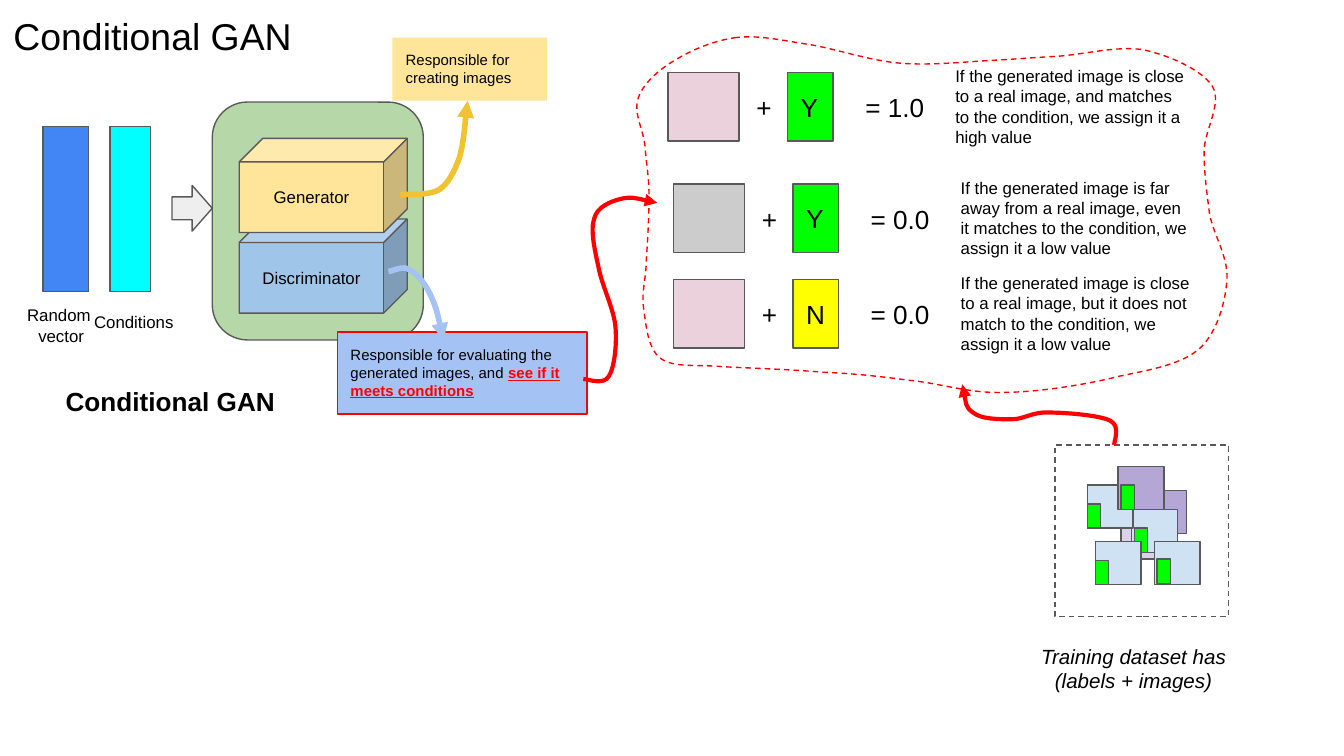
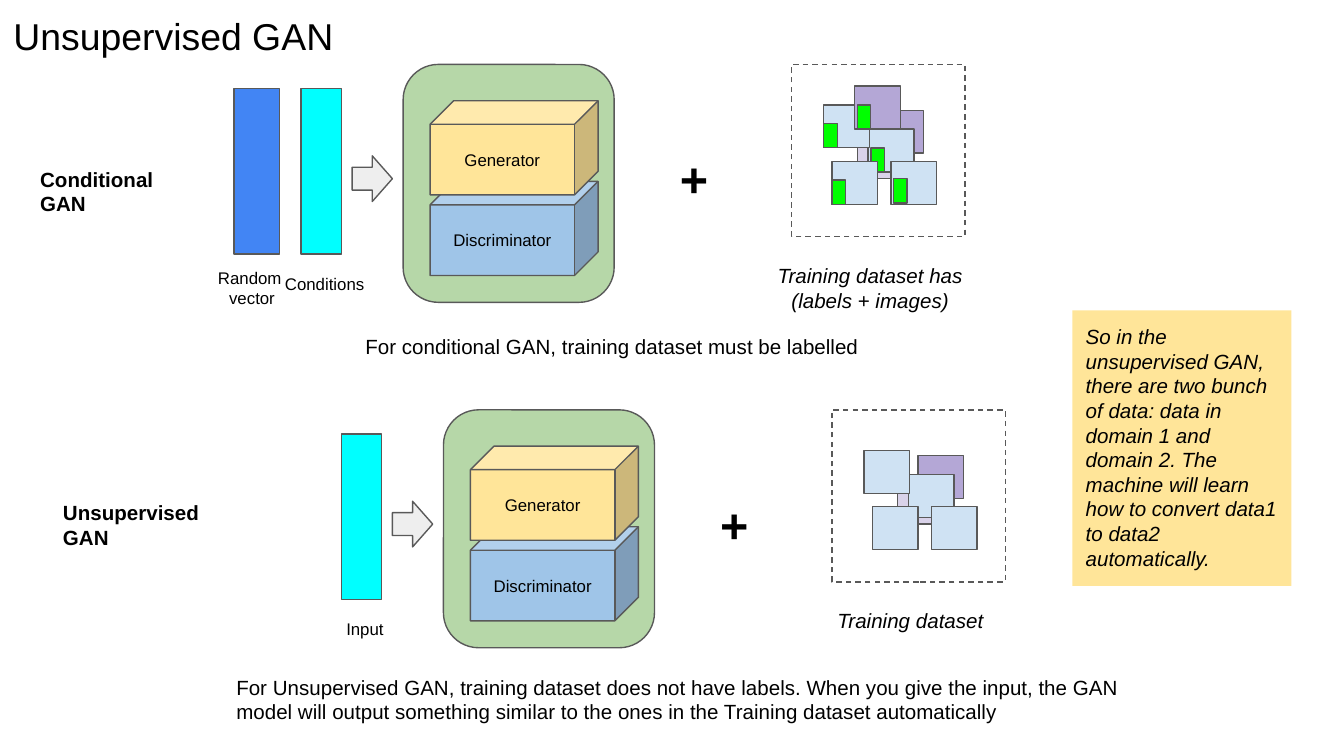
"""Build two slides on conditional and unsupervised GANs."""
from lxml.etree import SubElement
from pptx import Presentation
from pptx.dml.color import RGBColor
from pptx.enum.dml import MSO_LINE
from pptx.enum.shapes import MSO_SHAPE
from pptx.enum.text import MSO_ANCHOR, PP_ALIGN
from pptx.oxml.ns import qn
from pptx.util import Inches, Pt

C = {
    "black": "000000", "outline": "595959", "blue": "4285F4", "cyan": "00FFFF",
    "green": "B6D7A8", "sky": "9FC5E8", "sand": "FFE599", "gold": "F1C232",
    "periwinkle": "A4C2F4", "red": "FF0000", "arrow": "EEEEEE", "pink": "EAD1DC",
    "gray": "CCCCCC", "lime": "00FF00", "yellow": "FFFF00",
    "lilac": "D9D2E9", "purple": "B4A7D6", "pale": "CFE2F3",
}
C = {name: RGBColor.from_string(value) for name, value in C.items()}
FONT = "Arial"
RECT = MSO_SHAPE.RECTANGLE


def box(s, x, y, w, h, text="", size=9, shape=None, fill=None, line="outline",
        dash=False, center=False, middle=False, bold=False, italic=False):
    """Add a text box, or a preset shape when one is given."""
    at = Inches(x), Inches(y), Inches(w), Inches(h)
    if shape is None:
        sp = s.shapes.add_textbox(*at)
    else:
        sp = s.shapes.add_shape(shape, *at)
        sp.shadow.inherit = False
        if fill:
            sp.fill.solid()
            sp.fill.fore_color.rgb = C[fill]
        else:
            sp.fill.background()
        if line:
            sp.line.color.rgb = C[line]
            sp.line.width = Pt(0.75)
            if dash:
                sp.line.dash_style = MSO_LINE.DASH
        else:
            sp.line.fill.background()
    if text:
        tf = sp.text_frame
        tf.word_wrap = True
        tf.margin_left = tf.margin_right = tf.margin_top = tf.margin_bottom = Inches(0.1)
        tf.vertical_anchor = MSO_ANCHOR.MIDDLE if middle else MSO_ANCHOR.TOP
        for i, part in enumerate(text.split("\n")):
            p = tf.add_paragraph() if i else tf.paragraphs[0]
            p.alignment = PP_ALIGN.CENTER if center else PP_ALIGN.LEFT
            r = p.add_run()
            r.text = part
            r.font.name, r.font.size = FONT, Pt(size)
            r.font.bold, r.font.italic = bold, italic
            r.font.color.rgb = C["black"]
    return sp


def curve(s, pts, color, width, closed=False):
    """Add a Bézier outline: a dashed loop if closed, else an arrow."""
    pts = [(Inches(x), Inches(y)) for x, y in pts]
    fb = s.shapes.build_freeform(*pts[0])
    fb.add_line_segments(pts[1:], close=closed)
    sp = fb.convert_to_shape()
    sp.shadow.inherit = False
    sp.fill.background()
    sp.line.color.rgb = C[color]
    sp.line.width = Pt(width)
    segs = list(sp.element.iter(qn("a:lnTo")))
    for first, *rest in zip(segs[::3], segs[1::3], segs[2::3]):
        first.tag = qn("a:cubicBezTo")
        for seg in rest:
            first.append(seg[0])
            seg.getparent().remove(seg)
    if closed:
        sp.line.dash_style = MSO_LINE.DASH
    else:
        SubElement(sp.element.spPr.find(qn("a:ln")), qn("a:tailEnd"), type="triangle")


prs = Presentation()
prs.slide_width, prs.slide_height = Inches(10), Inches(10 * 9 / 16)

slides = []
for title, width in [("Conditional GAN", 2.59), ("Unsupervised GAN", 3.13)]:
    s = prs.slides.add_slide(prs.slide_layouts[5])
    sp = s.shapes.title
    sp.left, sp.top, sp.width, sp.height = 0, 0, Inches(width), Inches(0.54)
    tf = sp.text_frame
    tf.word_wrap = True
    tf.margin_left = tf.margin_right = tf.margin_top = tf.margin_bottom = Inches(0.1)
    tf.vertical_anchor = MSO_ANCHOR.TOP
    p = tf.paragraphs[0]
    p.alignment = PP_ALIGN.LEFT
    r = p.add_run()
    r.text = title
    r.font.name, r.font.size = FONT, Pt(20)
    r.font.color.rgb = C["black"]
    slides.append(s)
cond, unsup = slides

tiles = [
    (0.49, 0.53, "lilac", False), (0.64, 0.34, "purple", False),
    (0.57, 0.48, "pale", False), (0.24, 0.3, "pale", False),
    (0.47, 0.16, "purple", True), (0.74, 0.72, "pale", False),
    (0.49, 0.3, "lime", True), (0.24, 0.44, "lime", True),
    (0.59, 0.62, "lime", True), (0.76, 0.85, "lime", True),
    (0.3, 0.72, "pale", False), (0.3, 0.86, "lime", True),
]
models = [
    (cond, 1.58, 0.76, -0.3, 0.62, 7.85, 3.31, True),
    (unsup, 3, 0.48, -0.38, 0.68, 5.89, 0.48, True),
    (unsup, 3.3, 3.05, -0.38, 0.68, 6.19, 3.05, False),
]
for s, x, y, arrow_x, arrow_y, data_x, data_y, labelled in models:
    if labelled:
        box(s, x - 1.26, y + 0.18, 0.34, 1.23, shape=RECT, fill="blue")
        box(s, x - 1.62, y + 1.41, 0.99, 0.5, "Random \nvector", center=True)
    box(s, x - 0.76, y + 0.18, 0.3, 1.23, shape=RECT, fill="cyan")
    box(s, x - 1.06, y + 1.48, 0.95, 0.35, "Conditions" if labelled else "Input", center=True)
    box(s, x, y, 1.57, 1.77, shape=MSO_SHAPE.ROUNDED_RECTANGLE, fill="green")
    for name, dy, fill in [("Discriminator", 0.87, "sky"), ("Generator", 0.27, "sand")]:
        box(s, x + 0.2, y + dy, 1.25, 0.7, name, shape=MSO_SHAPE.CUBE, fill=fill,
            center=True, middle=True)
    box(s, x + arrow_x, y + arrow_y, 0.3, 0.34, shape=MSO_SHAPE.RIGHT_ARROW, fill="arrow")
    for dx, dy, fill, only_labelled in tiles:
        if labelled or not only_labelled:
            w, h = (0.1, 0.18) if fill == "lime" else (0.34, 0.32)
            box(s, data_x + dx, data_y + dy, w, h, shape=RECT, fill=fill)
    box(s, data_x, data_y, 1.29, 1.28, shape=RECT, dash=True)
    caption = "Training dataset has (labels + images)" if labelled else "Training dataset"
    box(s, data_x - 0.4, data_y + 1.38, 1.97, 0.57 if labelled else 0.39, caption, 11,
        center=True, italic=True)

box(cond, 0.39, 2.77, 1.93, 0.44, "Conditional GAN", 14, bold=True)
box(cond, 2.92, 0.28, 1.15, 0.47, "Responsible for creating images", 8,
    shape=RECT, fill="sand", line=None)
curve(cond, [(2.98, 1.45), (3.03, 1.44), (3.19, 1.46), (3.27, 1.41), (3.34, 1.36),
             (3.38, 1.28), (3.42, 1.17), (3.45, 1.06), (3.47, 0.82), (3.48, 0.75)], "gold", 3)
sp = box(cond, 2.51, 2.47, 1.86, 0.61, "Responsible for evaluating the generated images, and ", 8,
         shape=RECT, fill="periwinkle", line="red")
r = sp.text_frame.paragraphs[0].add_run()
r.text = "see if it meets conditions"
r.font.name, r.font.size = FONT, Pt(8)
r.font.bold = r.font.underline = True
r.font.color.rgb = C["red"]
curve(cond, [(2.89, 2.02), (2.92, 2.02), (3, 1.97), (3.05, 2.01), (3.11, 2.04),
             (3.17, 2.12), (3.21, 2.21), (3.25, 2.3), (3.29, 2.48), (3.3, 2.53)],
      "periwinkle", 3)

cases = [
    (4.97, 0.54, "pink", "Y", "lime", "= 1.0",
     "If the generated image is close to a real image, and matches to the condition, "
     "we assign it a high value"),
    (5.01, 1.37, "gray", "Y", "lime", "= 0.0",
     "If the generated image is far away from a real image, even it matches to the condition, "
     "we assign it a low value"),
    (5.01, 2.08, "pink", "N", "yellow", "= 0.0",
     "If the generated image is close to a real image, but it does not match to the condition, "
     "we assign it a low value"),
]
for x, y, image, label, fill, score, reason in cases:
    box(cond, x, y, 0.53, 0.51, shape=RECT, fill=image)
    box(cond, x + 0.89, y, 0.34, 0.51, label, 14, shape=RECT, fill=fill, middle=True)
    box(cond, x + 0.56, y + 0.04, 0.3, 0.44, "+", 14)
    box(cond, x + 1.37, y + 0.04, 0.67, 0.44, score, 14)
    box(cond, x + 2.04, y - 0.15, 1.93, 0.81, reason)

curve(cond, [
    (5.48, 0.28), (5.32, 0.3), (5.15, 0.37), (5.02, 0.45), (4.9, 0.52), (4.78, 0.63),
    (4.75, 0.73), (4.71, 0.84), (4.79, 0.97), (4.8, 1.09), (4.81, 1.22), (4.83, 1.32),
    (4.83, 1.46), (4.83, 1.6), (4.82, 1.79), (4.81, 1.93), (4.81, 2.07), (4.77, 2.18),
    (4.79, 2.3), (4.81, 2.43), (4.82, 2.6), (4.92, 2.67), (5.02, 2.74), (5.19, 2.71),
    (5.39, 2.73), (5.59, 2.74), (5.89, 2.75), (6.12, 2.77), (6.35, 2.78), (6.54, 2.8),
    (6.76, 2.83), (6.99, 2.85), (7.21, 2.93), (7.47, 2.92), (7.73, 2.92), (8.09, 2.86),
    (8.33, 2.8), (8.57, 2.75), (8.8, 2.71), (8.93, 2.59), (9.06, 2.47), (9.12, 2.24),
    (9.13, 2.08), (9.14, 1.91), (9.03, 1.75), (9, 1.59), (8.98, 1.43), (8.96, 1.29),
    (8.96, 1.13), (8.96, 0.97), (9.1, 0.77), (9.02, 0.64), (8.94, 0.52), (8.7, 0.41),
    (8.5, 0.37), (8.31, 0.34), (8.04, 0.41), (7.86, 0.42), (7.67, 0.43), (7.57, 0.44),
    (7.38, 0.45), (7.18, 0.46), (6.92, 0.49), (6.69, 0.47), (6.46, 0.45), (6.21, 0.36),
    (6.01, 0.33), (5.81, 0.3), (5.65, 0.26), (5.48, 0.28)], "red", 0.75, closed=True)
curve(cond, [
    (4.34, 2.82), (4.37, 2.82), (4.49, 2.87), (4.53, 2.8), (4.57, 2.74), (4.59, 2.57),
    (4.58, 2.44), (4.57, 2.31), (4.49, 2.15), (4.46, 2.02), (4.43, 1.88), (4.39, 1.72),
    (4.42, 1.63), (4.44, 1.54), (4.54, 1.5), (4.62, 1.48), (4.7, 1.46), (4.84, 1.5),
    (4.89, 1.51)], "red", 2.25)
curve(cond, [
    (8.29, 3.31), (8.29, 3.28), (8.34, 3.17), (8.26, 3.13), (8.18, 3.09), (7.93, 3.07),
    (7.81, 3.07), (7.69, 3.06), (7.62, 3.12), (7.53, 3.12), (7.43, 3.12), (7.3, 3.12),
    (7.24, 3.07), (7.18, 3.03), (7.17, 2.89), (7.16, 2.86)], "red", 2.25)

for name, x, y, plus_x, plus_y in [("Conditional GAN", 0.2, 1.14, 4.96, 1.01),
                                   ("Unsupervised GAN", 0.37, 3.62, 5.26, 3.58)]:
    box(unsup, x, y, 1.25, 0.57, name, 11, bold=True)
    box(unsup, plus_x, plus_y, 0.45, 0.64, "+", 26, bold=True)
box(unsup, 2.62, 2.39, 3.96, 0.39, "For conditional GAN, training dataset must be labelled", 11)
box(unsup, 1.66, 4.92, 7.17, 0.57,
    "For Unsupervised GAN, training dataset does not have labels. When you give the input, "
    "the GAN model will output something similar to the ones in the Training dataset "
    "automatically", 11)
box(unsup, 7.98, 2.31, 1.63, 2.05,
    "So in the unsupervised GAN, there are two bunch of data: data in domain 1 and domain 2. "
    "The machine will learn how to convert data1 to data2 automatically.", 11,
    shape=RECT, fill="sand", line=None, italic=True)

prs.save("out.pptx")
